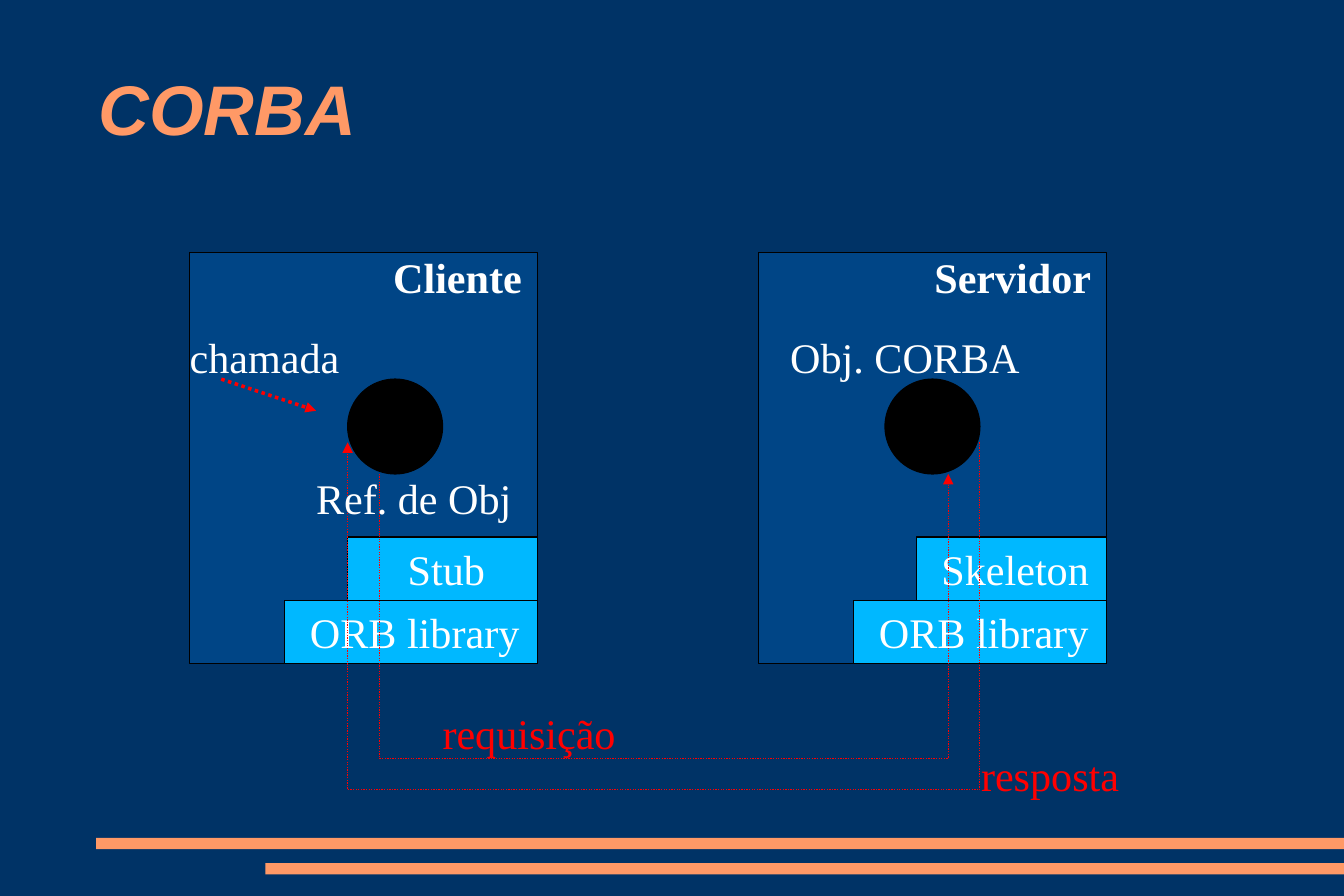
from dataclasses import dataclass

from lxml import etree
from pptx import Presentation
from pptx.dml.color import RGBColor
from pptx.enum.dml import MSO_LINE
from pptx.enum.shapes import MSO_CONNECTOR, MSO_SHAPE
from pptx.enum.text import MSO_ANCHOR, MSO_AUTO_SIZE, PP_ALIGN
from pptx.oxml.ns import qn
from pptx.util import Emu, Pt

RECTANGLE, OVAL = MSO_SHAPE.RECTANGLE, MSO_SHAPE.OVAL
STRAIGHT = MSO_CONNECTOR.STRAIGHT
DOTTED = MSO_LINE.ROUND_DOT
LEFT, CENTER = PP_ALIGN.LEFT, PP_ALIGN.CENTER
MIDDLE = MSO_ANCHOR.MIDDLE
NO_AUTOSIZE = MSO_AUTO_SIZE.NONE

EMU_PER_PX = 9144
SLIDE_WIDTH, SLIDE_HEIGHT = 1063, 709
BLOCK_HEIGHT = 50
LABEL_HEIGHT = 46
COLORS = {
    "background": "003366",
    "accent": "FF9966",
    "panel": "004586",
    "block": "00B8FF",
    "black": "000000",
    "white": "FFFFFF",
    "red": "FF0000",
}
TITLE_FONT = {"name": "Arial", "size": Pt(40), "bold": True, "italic": True}
BODY_FONT = {"name": "Times New Roman", "size": Pt(24), "bold": False}
HEADING_FONT = {**BODY_FONT, "bold": True}


@dataclass(frozen=True)
class Box:
    left: int
    top: int
    width: int
    height: int


@dataclass(frozen=True)
class Label:
    text: str
    left: int
    top: int
    width: int
    color: str = "white"
    heading: bool = False


@dataclass(frozen=True)
class Machine:
    left: int
    circle_left: int
    adapter: str


MACHINES = [Machine(150, 275, "Stub"), Machine(600, 700, "Skeleton")]
LABELS = [
    Label("Cliente", 311, 196, 132, heading=True),
    Label("Servidor", 739, 196, 159, heading=True),
    Label("chamada", 150, 259, 158),
    Label("Ref. de Obj", 250, 371, 183),
    Label("Obj. CORBA", 625, 259, 197),
    Label("requisição", 350, 557, 178, "red"),
    Label("resposta", 776, 590, 146, "red"),
]
BARS = [Box(76, 663, 987, 9), Box(210, 683, 853, 9)]
REQUEST = [(300, 375), (300, 600), (750, 600), (750, 375)]
REPLY = [(775, 350), (775, 625), (275, 625), (275, 350)]
CALL = [(175, 300), (250, 325)]


def px(value: int) -> Emu:
    return Emu(value * EMU_PER_PX)


def rgb(name: str) -> RGBColor:
    return RGBColor.from_string(COLORS[name])


def frame(box: Box) -> list[Emu]:
    return [px(value) for value in (box.left, box.top, box.width, box.height)]


def set_attributes(target, values: dict) -> None:
    for name, value in values.items():
        setattr(target, name, value)


def write_text(shape, text: str, font: dict, color: str, alignment=LEFT, indent: int = 0) -> None:
    set_attributes(shape.text_frame, {
        "auto_size": NO_AUTOSIZE,
        "word_wrap": True,
        "vertical_anchor": MIDDLE,
        "margin_left": px(indent),
        "margin_top": 0,
        "margin_right": 0,
        "margin_bottom": 0,
    })
    paragraph = shape.text_frame.paragraphs[0]
    paragraph.alignment = alignment
    run = paragraph.add_run()
    run.text = text
    set_attributes(run.font, font)
    run.font.color.rgb = rgb(color)


def add_filled(slide, kind, box: Box, fill: str, outlined: bool = True):
    shape = slide.shapes.add_shape(kind, *frame(box))
    shape.shadow.inherit = False
    shape.fill.solid()
    shape.fill.fore_color.rgb = rgb(fill)
    if outlined:
        shape.line.color.rgb = rgb("black")
        shape.line.width = Pt(0)
    else:
        shape.line.fill.background()
    return shape


def add_block(slide, text: str, box: Box) -> None:
    shape = add_filled(slide, RECTANGLE, box, "block")
    write_text(shape, text, BODY_FONT, "white", CENTER, indent=6)


def add_machine(slide, machine: Machine) -> None:
    panel = Box(machine.left, 200, 275, 325)
    right, bottom = panel.left + panel.width, panel.top + panel.height
    add_filled(slide, RECTANGLE, panel, "panel")
    add_filled(slide, OVAL, Box(machine.circle_left, 300, 75, 75), "black")
    for level, (text, width) in enumerate([("ORB library", 200), (machine.adapter, 150)], 1):
        add_block(slide, text, Box(right - width, bottom - level * BLOCK_HEIGHT, width, BLOCK_HEIGHT))


def style_arrow(shape) -> None:
    shape.line.color.rgb = rgb("red")
    set_attributes(shape.line, {"width": Pt(0), "dash_style": DOTTED})
    properties = shape.line._get_or_add_ln()
    etree.SubElement(properties, qn("a:tailEnd"), type="triangle")


def add_path(slide, points: list[tuple[int, int]]) -> None:
    builder = slide.shapes.build_freeform(*points[0], scale=EMU_PER_PX)
    builder.add_line_segments(points[1:], close=False)
    shape = builder.convert_to_shape()
    shape.shadow.inherit = False
    shape.fill.background()
    style_arrow(shape)


def add_arrow(slide, points: list[tuple[int, int]]) -> None:
    ends = [px(value) for point in points for value in point]
    connector = slide.shapes.add_connector(STRAIGHT, *ends)
    style_arrow(connector)
    etree.SubElement(connector._element.spPr, qn("a:effectLst"))


def add_label(slide, label: Label) -> None:
    box = Box(label.left, label.top, label.width, LABEL_HEIGHT)
    shape = slide.shapes.add_textbox(*frame(box))
    write_text(shape, label.text, HEADING_FONT if label.heading else BODY_FONT, label.color)


def add_title(slide, text: str) -> None:
    title = slide.shapes.title
    set_attributes(title, dict(zip(("left", "top", "width", "height"), frame(Box(78, 26, 908, 118)))))
    write_text(title, text, TITLE_FONT, "accent")


def main() -> None:
    presentation = Presentation()
    presentation.slide_width, presentation.slide_height = px(SLIDE_WIDTH), px(SLIDE_HEIGHT)
    slide = presentation.slides.add_slide(presentation.slide_layouts[5])
    slide.background.fill.solid()
    slide.background.fill.fore_color.rgb = rgb("background")
    add_title(slide, "CORBA")
    for bar in BARS:
        add_filled(slide, RECTANGLE, bar, "accent", outlined=False)
    for machine in MACHINES:
        add_machine(slide, machine)
    add_arrow(slide, CALL)
    for route in (REQUEST, REPLY):
        add_path(slide, route)
    for label in LABELS:
        add_label(slide, label)
    presentation.save("out.pptx")


if __name__ == "__main__":
    main()
